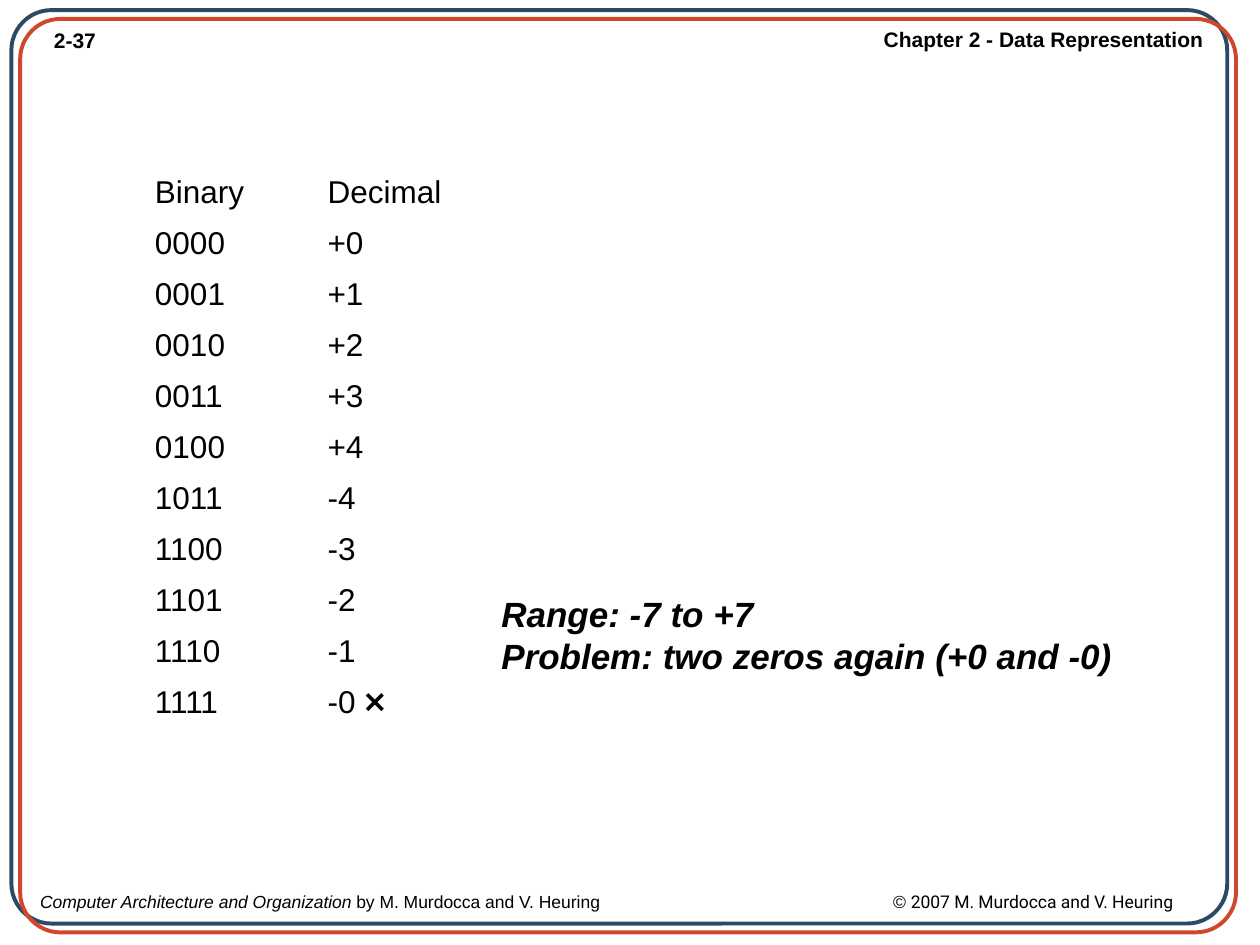
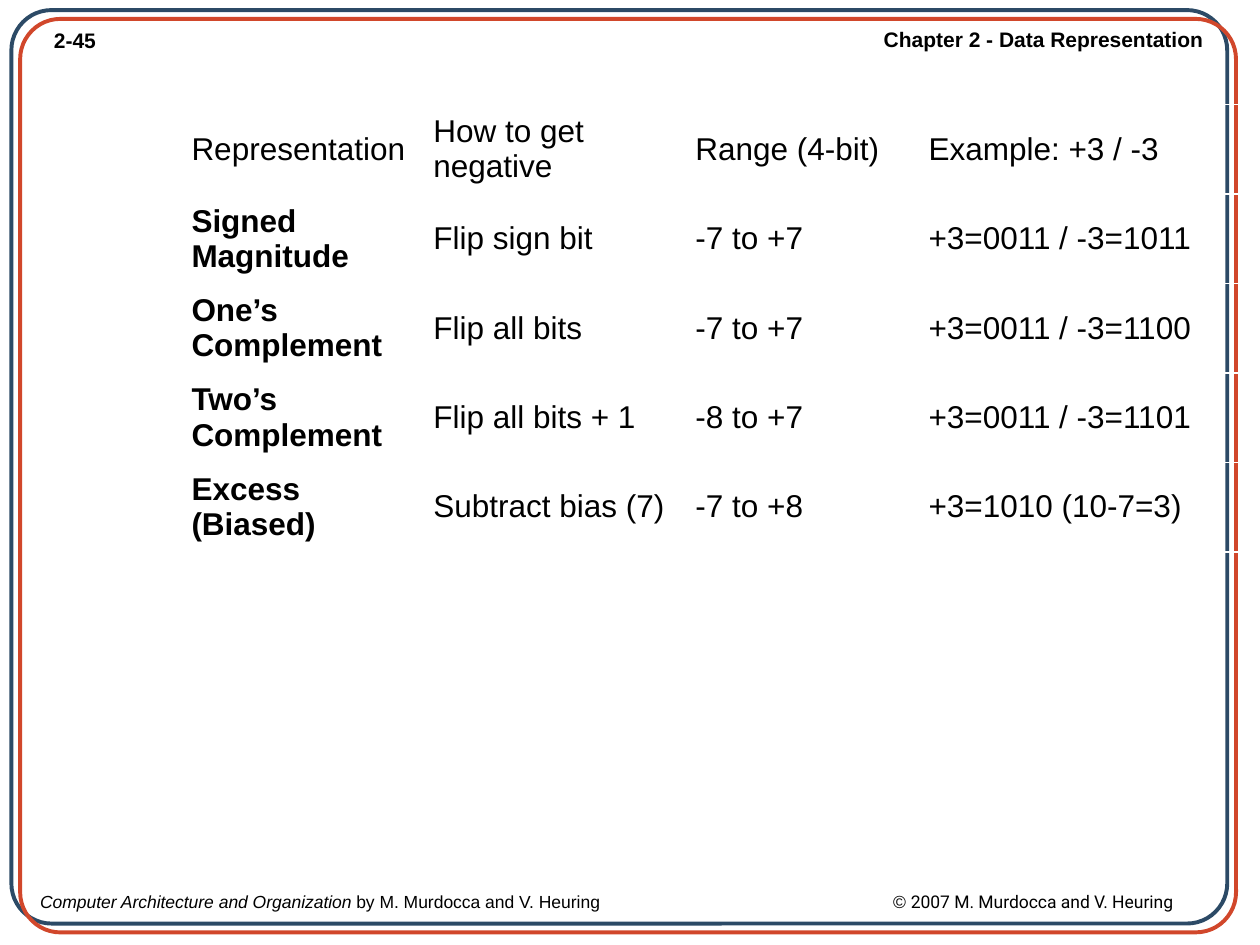
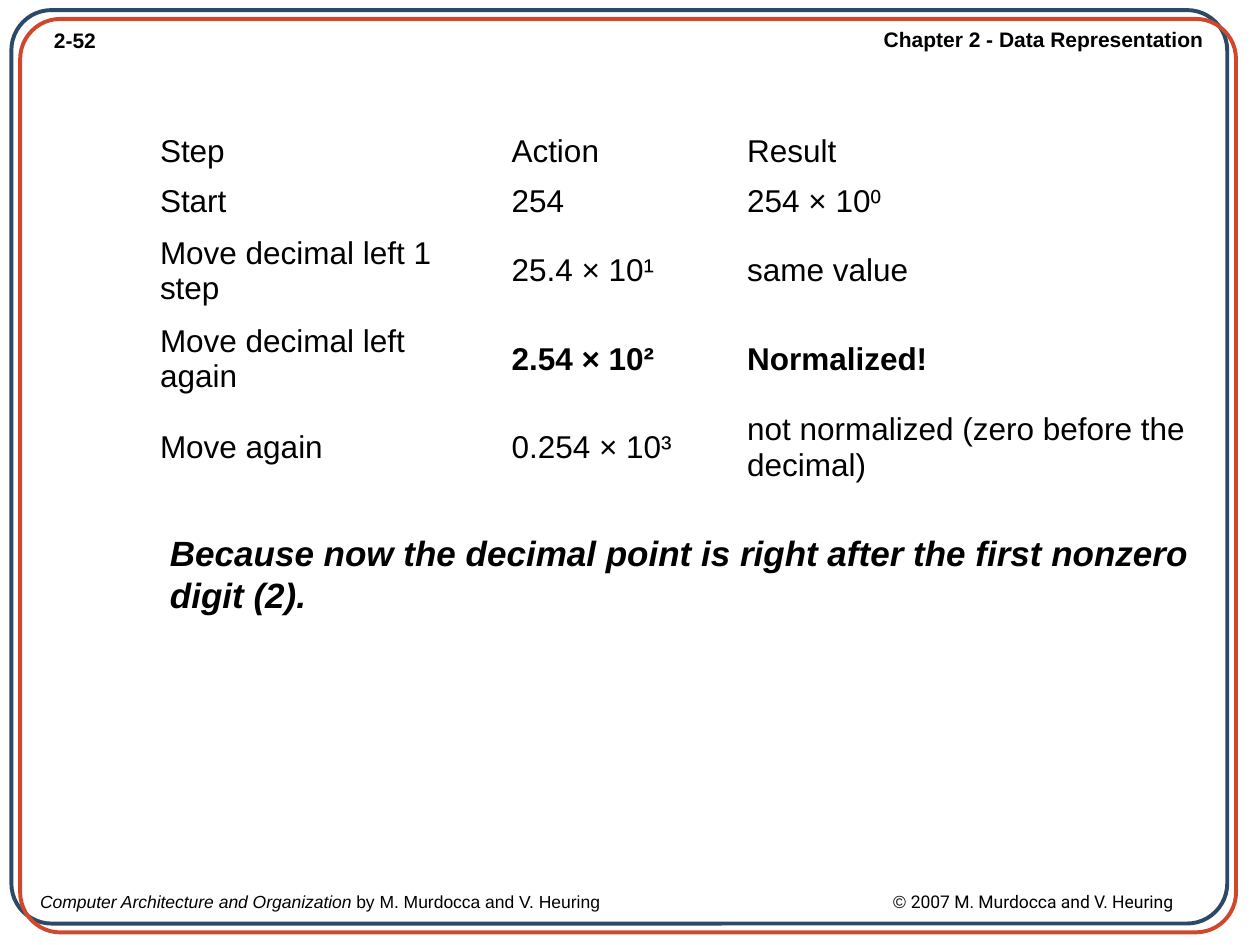
from lxml import etree
from pptx import Presentation
from pptx.dml import color
from pptx.enum import shapes, text
from pptx.oxml import ns
from pptx.util import Inches, Pt

BLACK, NAVY, RED = "000000", "2C4A66", "D1472B"
BITS = ["0000", "0001", "0010", "0011", "0100",
        "1011", "1100", "1101", "1110", "1111"]
VALUES = ["+0", "+1", "+2", "+3", "+4", "-4", "-3", "-2", "-1", "-0 ❌"]


def paint(code):
    return color.RGBColor.from_string(code)


class Deck:
    font = "Arial"

    def __init__(self):
        self.prs = Presentation()
        self.prs.slide_width, self.prs.slide_height = Inches(10), Inches(7.5)
        self.slide = None

    def run(self, para, words, size, bold=False, italic=False, font=None):
        run = para.add_run()
        run.text = words
        face = run.font
        face.name, face.size = font or self.font, Pt(size)
        face.bold, face.italic = bold, italic
        face.color.rgb = paint(BLACK)

    def box(self, left, top, width, height, wrap=True):
        place = [Inches(n) for n in (left, top, width, height)]
        frame = self.slide.shapes.add_textbox(*place).text_frame
        frame.word_wrap = wrap
        frame.auto_size = text.MSO_AUTO_SIZE.SHAPE_TO_FIT_TEXT
        return frame.paragraphs[0]

    def tab(self, para, stop):
        tabs = etree.SubElement(para._p.get_or_add_pPr(), ns.qn("a:tabLst"))
        etree.SubElement(tabs, ns.qn("a:tab"), pos=str(Inches(stop)), algn="l")

    def border(self, left, top, tint):
        shape = self.slide.shapes.add_shape(
            shapes.MSO_SHAPE.ROUNDED_RECTANGLE,
            Inches(left), Inches(top), Inches(9.65), Inches(7.25))
        shape.adjustments[0] = 0.044
        shape.shadow.inherit = False
        shape.fill.background()
        shape.line.color.rgb = paint(tint)
        shape.line.width = Pt(2.25)

    def page(self, number):
        self.slide = self.prs.slides.add_slide(self.prs.slide_layouts[6])
        self.run(self.box(0.33, 0.17, 0.56, 0.3), number, 12, bold=True)
        chapter = self.box(6.91, 0.16, 2.74, 0.3, wrap=False)
        chapter.alignment = text.PP_ALIGN.RIGHT
        self.run(chapter, "Chapter 2 - Data Representation", 12, bold=True)
        footer = self.box(0.22, 7.02, 9.78, 0.26)
        self.tab(footer, 6.77)
        self.run(footer, "Computer Architecture and Organization ", 10, italic=True)
        self.run(footer, "by M. Murdocca and V. Heuring\t© ", 10)
        self.run(footer, "2007 M. Murdocca and V. Heuring", 10, font="Roboto")
        self.border(0.09, 0.08, NAVY)
        self.border(0.16, 0.15, RED)

    def table(self, left, top, widths, heights, rows, strong=()):
        grid = self.slide.shapes.add_table(
            len(rows), len(widths), Inches(left), Inches(top),
            Inches(sum(widths)), Inches(sum(heights))).table
        grid.first_row = grid.horz_banding = False
        for col, width in zip(grid.columns, widths):
            col.width = Inches(width)
        for line, height, row in zip(grid.rows, heights, rows):
            line.height = Inches(height)
            for cell, words in zip(line.cells, row):
                cell.fill.background()
                cell.vertical_anchor = text.MSO_ANCHOR.MIDDLE
                self.run(cell.text_frame.paragraphs[0], words, 18,
                         bold=words in strong)

    def remark(self, left, top, width, *lines):
        para = self.box(left, top, width, 0.77)
        for index, line in enumerate(lines):
            if index:
                para.add_line_break()
            self.run(para, line, 20, bold=True, italic=True)


def main():
    deck = Deck()

    deck.page("2-37")
    rows = [("Binary", "Decimal"), *zip(BITS, VALUES)]
    deck.table(1.13, 1.33, [1.37] * 2, [4.45 / len(rows)] * len(rows), rows)
    deck.remark(3.88, 4.65, 5.28, "Range: -7 to +7",
                "Problem: two zeros again (+0 and -0)")

    deck.page("2-45")
    rows = [
        ("Representation", "How to get negative", "Range (4-bit)", "Example: +3 / -3"),
        ("Signed Magnitude", "Flip sign bit", "-7 to +7", "+3=0011 / -3=1011"),
        ("One’s Complement", "Flip all bits", "-7 to +7", "+3=0011 / -3=1100"),
        ("Two’s Complement", "Flip all bits + 1", "-8 to +7", "+3=0011 / -3=1101"),
        ("Excess (Biased)", "Subtract bias (7)", "-7 to +8", "+3=1010 (10-7=3)"),
    ]
    deck.table(1.42, 0.83, [1.92, 2.08, 1.85, 2.56], [0.71] * 5, rows,
               strong=[row[0] for row in rows[1:]])

    deck.page("2-52")
    rows = [
        ("Step", "Action", "Result"),
        ("Start", "254", "254 × 10⁰"),
        ("Move decimal left 1 step", "25.4 × 10¹", "same value"),
        ("Move decimal left again", "2.54 × 10²", "Normalized!"),
        ("Move again", "0.254 × 10³", "not normalized (zero before the decimal)"),
    ]
    deck.table(1.17, 1, [2.79, 1.87, 3.7], [0.4] * 2 + [0.7] * 3, rows,
               strong=rows[3][1:])
    deck.remark(1.25, 4.17, 8.35, "Because now the decimal point is right "
                "after the first nonzero digit (2).")

    deck.prs.save("out.pptx")


if __name__ == "__main__":
    main()
